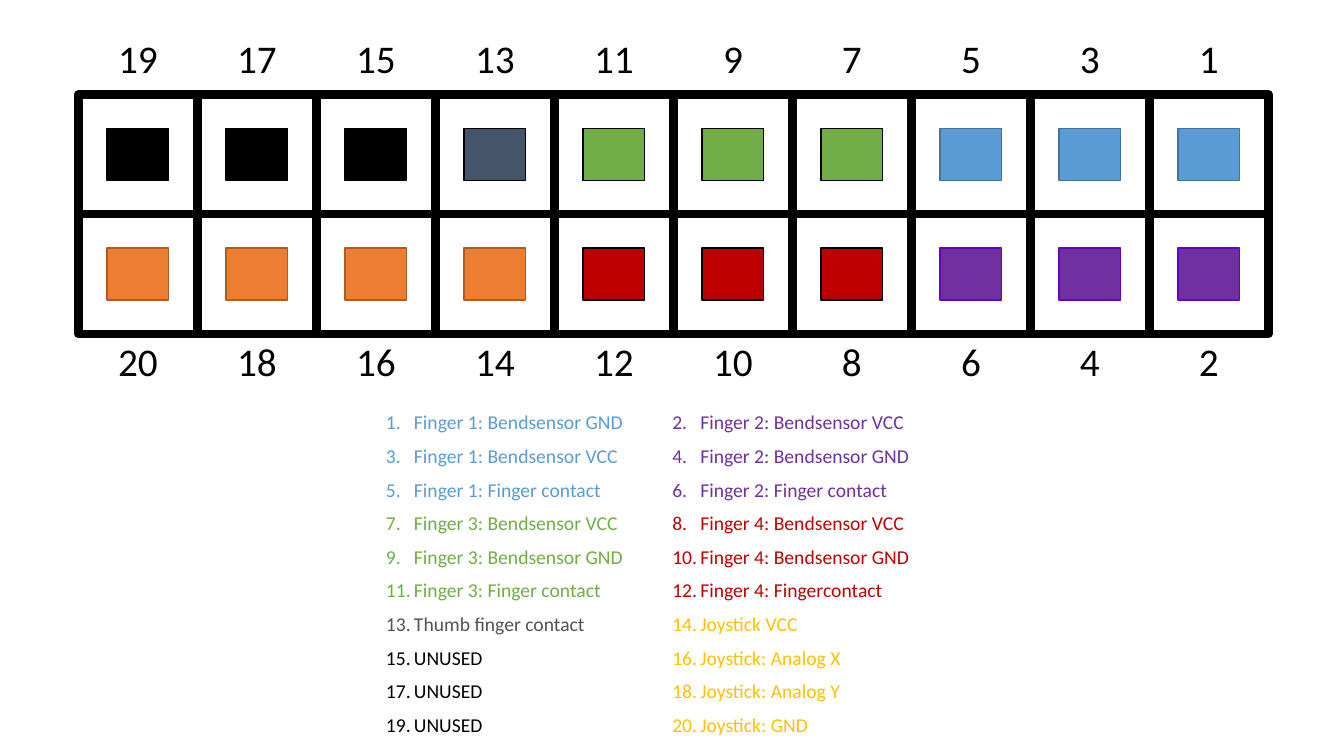
"""Build a slide that maps the twenty pins of a glove connector."""
import dataclasses

import lxml.etree
import pptx
import pptx.dml.color
import pptx.enum.shapes
import pptx.enum.text
import pptx.oxml.ns
import pptx.util

Pt = pptx.util.Pt


@dataclasses.dataclass(frozen=True)
class PinGroup:
    """Colours shared by the pins of one sensor."""
    fill: str
    outline: str
    text: str


@dataclasses.dataclass(frozen=True)
class Theme:
    """Colours and type sizes of the slide."""
    font: str = "Calibri"
    number_size: int = 28
    legend_size: int = 14
    ink: str = "000000"
    paper: str = "FFFFFF"
    frame_width: int = 6
    pad_outline_width: int = 1
    finger_1: PinGroup = PinGroup("5B9BD5", "43739E", "5B9BD5")
    finger_2: PinGroup = PinGroup("7030A0", "6600CC", "7030A0")
    finger_3: PinGroup = PinGroup("70AD47", "000000", "70AD47")
    finger_4: PinGroup = PinGroup("C00000", "000000", "C00000")
    thumb: PinGroup = PinGroup("44546A", "000000", "525252")
    joystick: PinGroup = PinGroup("ED7D31", "AF5C24", "FFC000")
    unused: PinGroup = PinGroup("000000", "000000", "000000")


THEME = Theme()

PINS = [
    ("Finger 1: Bendsensor GND", THEME.finger_1),
    ("Finger 2: Bendsensor VCC", THEME.finger_2),
    ("Finger 1: Bendsensor VCC", THEME.finger_1),
    ("Finger 2: Bendsensor GND", THEME.finger_2),
    ("Finger 1: Finger contact", THEME.finger_1),
    ("Finger 2: Finger contact", THEME.finger_2),
    ("Finger 3: Bendsensor VCC", THEME.finger_3),
    ("Finger 4: Bendsensor VCC", THEME.finger_4),
    ("Finger 3: Bendsensor GND", THEME.finger_3),
    ("Finger 4: Bendsensor GND", THEME.finger_4),
    ("Finger 3: Finger contact", THEME.finger_3),
    ("Finger 4: Fingercontact", THEME.finger_4),
    ("Thumb finger contact", THEME.thumb),
    ("Joystick VCC", THEME.joystick),
    ("UNUSED", THEME.unused),
    ("Joystick: Analog X", THEME.joystick),
    ("UNUSED", THEME.unused),
    ("Joystick: Analog Y", THEME.joystick),
    ("UNUSED", THEME.unused),
    ("Joystick: GND", THEME.joystick),
]

ROWS = 2
COLUMNS = len(PINS) // ROWS
GRID_LEFT, GRID_TOP = 56, 67.5
CELL_WIDTH, CELL_HEIGHT = 85, 85.5
GRID_RIGHT = GRID_LEFT + COLUMNS * CELL_WIDTH
GRID_BOTTOM = GRID_TOP + ROWS * CELL_HEIGHT
PAD_WIDTH, PAD_HEIGHT = 44, 37
NUMBER_TOPS = (21, 237.5)
NUMBER_HEIGHT = 41
LEGEND_LEFT, LEGEND_TOP = 268.5, 290
LEGEND_COLUMN_WIDTHS = (204.5, 243.5)
LEGEND_ROW_HEIGHT = 24
LEGEND_INDENT = 20


def rgb(value):
    """Return the colour object for a hexadecimal value."""
    return pptx.dml.color.RGBColor.from_string(value)


def style_paragraph(paragraph, size, color):
    """Set the font of a whole paragraph."""
    paragraph.font.name = THEME.font
    paragraph.font.size = Pt(size)
    paragraph.font.color.rgb = rgb(color)


def add_rectangle(slide, left, top, width, height, fill, outline, outline_width):
    """Add a flat rectangle with an outline."""
    shape = slide.shapes.add_shape(
        pptx.enum.shapes.MSO_SHAPE.RECTANGLE,
        Pt(left), Pt(top), Pt(width), Pt(height))
    shape.shadow.inherit = False
    shape.fill.solid()
    shape.fill.fore_color.rgb = rgb(fill)
    shape.line.color.rgb = rgb(outline)
    shape.line.width = Pt(outline_width)


def add_divider(slide, start_x, start_y, end_x, end_y):
    """Add a thick straight line between connector cells."""
    connector = slide.shapes.add_connector(
        pptx.enum.shapes.MSO_CONNECTOR.STRAIGHT,
        Pt(start_x), Pt(start_y), Pt(end_x), Pt(end_y))
    connector.line.color.rgb = rgb(THEME.ink)
    connector.line.width = Pt(THEME.frame_width)
    lxml.etree.SubElement(
        connector._element.spPr, pptx.oxml.ns.qn("a:effectLst"))


def add_frame(slide):
    """Add the connector outline and its dividers."""
    add_rectangle(slide, GRID_LEFT, GRID_TOP, GRID_RIGHT - GRID_LEFT,
                  GRID_BOTTOM - GRID_TOP, THEME.paper, THEME.ink,
                  THEME.frame_width)
    for column in range(1, COLUMNS):
        x = GRID_LEFT + column * CELL_WIDTH
        add_divider(slide, x, GRID_TOP, x, GRID_BOTTOM)
    for row in range(1, ROWS):
        y = GRID_TOP + row * CELL_HEIGHT
        add_divider(slide, GRID_LEFT, y, GRID_RIGHT, y)


def add_pin_number(slide, number, left, top):
    """Add a pin number centred on its column."""
    box = slide.shapes.add_textbox(
        Pt(left), Pt(top), Pt(CELL_WIDTH), Pt(NUMBER_HEIGHT))
    box.text_frame.word_wrap = True
    paragraph = box.text_frame.paragraphs[0]
    paragraph.text = str(number)
    paragraph.alignment = pptx.enum.text.PP_ALIGN.CENTER
    style_paragraph(paragraph, THEME.number_size, THEME.ink)


def add_pin(slide, index, group):
    """Add the pad and the number of one pin, counted from the right."""
    column, row = divmod(index, ROWS)
    left = GRID_RIGHT - (column + 1) * CELL_WIDTH
    top = GRID_TOP + row * CELL_HEIGHT
    add_rectangle(slide, left + (CELL_WIDTH - PAD_WIDTH) / 2,
                  top + (CELL_HEIGHT - PAD_HEIGHT) / 2, PAD_WIDTH, PAD_HEIGHT,
                  group.fill, group.outline, THEME.pad_outline_width)
    add_pin_number(slide, index + 1, left, NUMBER_TOPS[row])


def fill_legend_cell(cell, number, label, color):
    """Write a numbered label with a hanging indent."""
    cell.fill.background()
    paragraph = cell.text_frame.paragraphs[0]
    paragraph.text = f"{number}.\t{label}"
    style_paragraph(paragraph, THEME.legend_size, color)
    properties = paragraph._p.get_or_add_pPr()
    properties.set("marL", str(int(Pt(LEGEND_INDENT))))
    properties.set("indent", str(int(Pt(-LEGEND_INDENT))))


def add_legend(slide):
    """Add the table that names every pin."""
    table = slide.shapes.add_table(
        COLUMNS, ROWS, Pt(LEGEND_LEFT), Pt(LEGEND_TOP),
        Pt(sum(LEGEND_COLUMN_WIDTHS)), Pt(COLUMNS * LEGEND_ROW_HEIGHT)).table
    table.first_row = False
    table.horz_banding = False
    for column, width in zip(table.columns, LEGEND_COLUMN_WIDTHS):
        column.width = Pt(width)
    for index, (label, group) in enumerate(PINS):
        cell = table.cell(*divmod(index, ROWS))
        fill_legend_cell(cell, index + 1, label, group.text)


def main():
    """Build and save the presentation."""
    presentation = pptx.Presentation()
    presentation.slide_width = Pt(960)
    presentation.slide_height = Pt(540)
    slide = presentation.slides.add_slide(presentation.slide_layouts[6])
    add_frame(slide)
    for index, (_, group) in enumerate(PINS):
        add_pin(slide, index, group)
    add_legend(slide)
    presentation.save("out.pptx")


main()
